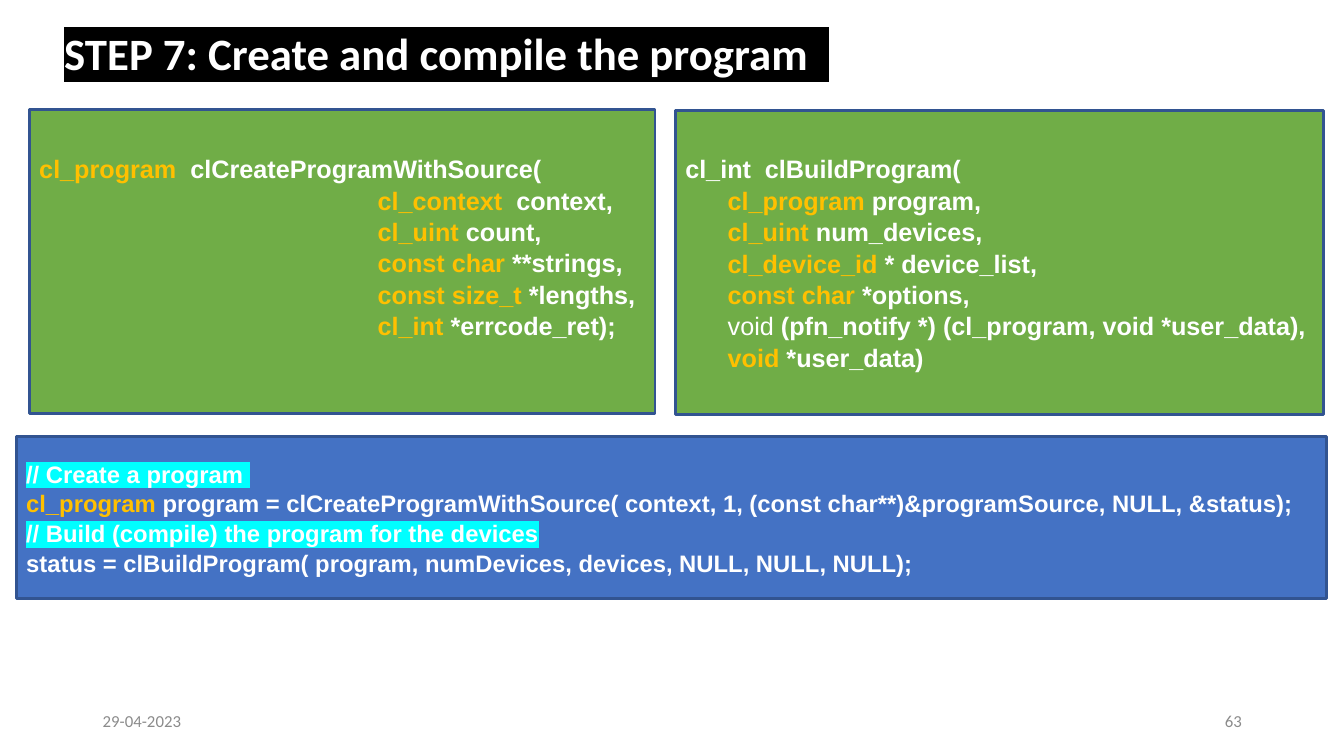
"""Slide on creating and compiling an OpenCL program."""
from pptx import Presentation
from pptx.dml.color import RGBColor
from pptx.enum.shapes import MSO_SHAPE
from pptx.enum.text import MSO_ANCHOR, PP_ALIGN
from pptx.oxml import parse_xml
from pptx.oxml.ns import nsdecls
from pptx.util import Cm, Pt

WHITE = RGBColor(0xFF, 0xFF, 0xFF)
BLACK = RGBColor(0x00, 0x00, 0x00)
GREY = RGBColor(0x8B, 0x8B, 0x8B)
AMBER = RGBColor(0xFF, 0xC0, 0x00)
CYAN = RGBColor(0x00, 0xFF, 0xFF)
GREEN = RGBColor(0x70, 0xAD, 0x47)
BLUE = RGBColor(0x44, 0x72, 0xC4)
NAVY = RGBColor(0x32, 0x54, 0x91)

TITLE = "STEP 7: Create and compile the program  "
DATE, NUMBER = "29-04-2023", "63"

CREATE = [
    ("cl_program", "  clCreateProgramWithSource("),
    ("cl_context", "  context,"),
    ("cl_uint", " count,"),
    ("const char", " **strings,"),
    ("const size_t", " *lengths,"),
    ("cl_int", " *errcode_ret);"),
]
BUILD = [
    ("", "cl_int  clBuildProgram("),
    ("cl_program", " program,"),
    ("cl_uint", " num_devices,"),
    ("cl_device_id", " * device_list,"),
    ("const char", " *options,"),
    ("void", " (pfn_notify *) (cl_program, void *user_data),"),
    ("void", " *user_data)"),
]
EXAMPLE = [
    ("", "// Create a program "),
    ("cl_program", " program = clCreateProgramWithSource( context, 1, "
                   "(const char**)&programSource, NULL, &status);"),
    ("", "// Build (compile) the program for the devices"),
    ("", "status = clBuildProgram( program, numDevices, devices, NULL, NULL, NULL);"),
]

# left, top, width, height, fill, size, parameter indent, bottom inset (cm, pt)
PANELS = [
    (EXAMPLE, (0.41, 11, 33.02, 4.09), BLUE, 17, 0, 0.13),
    (CREATE, (0.74, 2.77, 15.77, 7.65), GREEN, 18, 8.53, 0.89),
    (BUILD, (17.02, 2.79, 16.33, 7.65), GREEN, 18, 1.07, 0.13),
]
LABELS = [
    (DATE, (2.34, 17.65, 7.62, 1.02), PP_ALIGN.LEFT),
    (NUMBER, (23.93, 17.65, 7.62, 1.02), PP_ALIGN.RIGHT),
]


def add_run(p, text, name, size, color, bold=False, highlight=None):
    r = p.add_run()
    r.text = text
    r.font.name, r.font.size, r.font.bold = name, Pt(size), bold
    r.font.color.rgb = color
    if highlight is not None:
        mark = parse_xml(f'<a:highlight {nsdecls("a")}>'
                         f'<a:srgbClr val="{highlight}"/></a:highlight>')
        r.font.fill
        r._r.rPr.find("{*}solidFill").addnext(mark)


def add_label(s, box):
    tf = s.shapes.add_textbox(*map(Cm, box)).text_frame
    tf.word_wrap = True
    tf.vertical_anchor = MSO_ANCHOR.MIDDLE
    return tf.paragraphs[0]


def add_panel(s, lines, box, fill, size, indent, bottom):
    sp = s.shapes.add_shape(MSO_SHAPE.RECTANGLE, *map(Cm, box))
    sp.shadow.inherit = False
    sp.fill.solid()
    sp.fill.fore_color.rgb = fill
    sp.line.color.rgb = NAVY
    sp.line.width = Pt(2)
    tf = sp.text_frame
    tf.word_wrap = True
    tf.vertical_anchor = MSO_ANCHOR.MIDDLE
    tf.margin_bottom = Cm(bottom)
    for i, (kind, rest) in enumerate(lines):
        p = tf.add_paragraph() if i else tf.paragraphs[0]
        p.alignment = PP_ALIGN.LEFT
        p.line_spacing = 1.04
        if i and indent:
            p._p.get_or_add_pPr().set("marL", str(Cm(indent)))
        callback = "pfn_notify" in rest
        if kind:
            add_run(p, kind, "Arial", size, WHITE if callback else AMBER, not callback)
        add_run(p, rest, "Arial", size, WHITE, True,
                CYAN if rest.startswith("//") else None)


def main():
    prs = Presentation()
    prs.slide_width, prs.slide_height = Cm(33.87), Cm(19.05)
    s = prs.slides.add_slide(prs.slide_layouts[6])
    for text, box, align in LABELS:
        p = add_label(s, box)
        p.alignment = align
        add_run(p, text, "Calibri", 12, GREY)
    p = add_label(s, (1.37, 0.36, 29.21, 2.08))
    p.line_spacing = 0.9
    add_run(p, TITLE, "Calibri", 32, WHITE, True, BLACK)
    for panel in PANELS:
        add_panel(s, *panel)
    prs.save("out.pptx")


if __name__ == "__main__":
    main()
